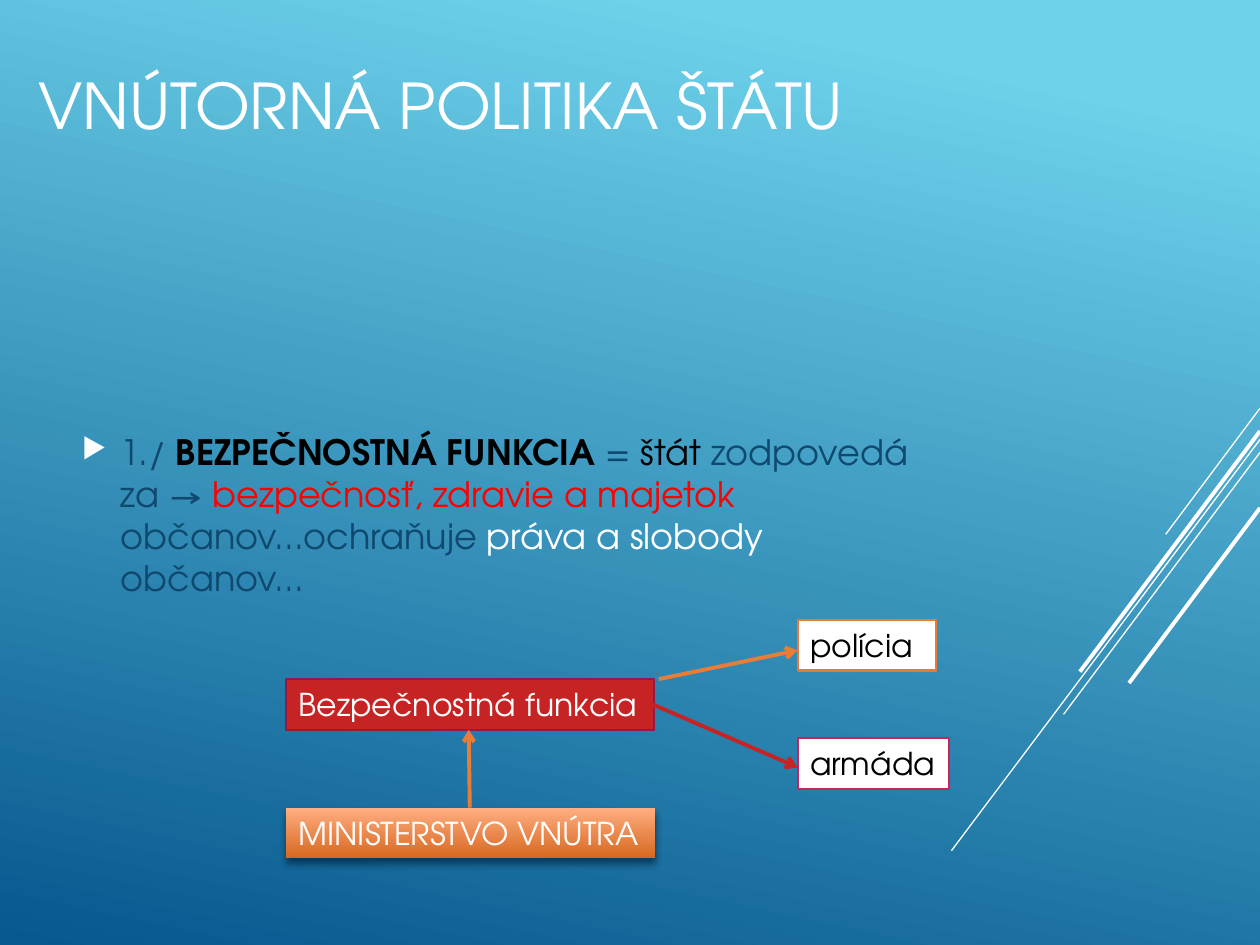
from dataclasses import dataclass

from lxml.etree import SubElement
from pptx import Presentation
from pptx.dml.color import RGBColor
from pptx.enum.shapes import MSO_CONNECTOR, MSO_SHAPE
from pptx.enum.text import MSO_ANCHOR, MSO_AUTO_SIZE, PP_ALIGN
from pptx.oxml.ns import qn
from pptx.util import Cm, Pt

FONT = "TeX Gyre Adventor"
WHITE = "FFFFFF"
BLACK = "000000"
NAVY = "0F496F"
RED = "C62324"
ORANGE = "E87D37"


@dataclass
class Line:
    start: tuple[float, float]
    end: tuple[float, float]
    color: str = WHITE
    width: float = 0.75
    arrow: bool = False


@dataclass
class Box:
    text: str
    left: float
    top: float
    width: float
    fill: str | tuple[str, str]
    border: str | None
    text_color: str


@dataclass
class Span:
    text: str
    color: str = NAVY
    bold: bool = False


EDGE = 25.4
DECOR = [
    Line((EDGE, 8.23), (23.5, 10.77)),
    Line((EDGE, 8.86), (19.18, 17.15)),
    Line((EDGE, 9.12), (21.44, 14.4)),
    Line((EDGE, 8.69), (21.77, 13.54), width=2.25),
    Line((EDGE, 10.24), (22.76, 13.77), width=2.25),
]
BOX_HEIGHT = 1.02
BOXES = [
    Box("Bezpečnostná funkcia", 5.77, 13.69, 7.42, RED, "921A46", WHITE),
    Box("polícia", 16.08, 12.5, 2.79, WHITE, "E87937", BLACK),
    Box("armáda", 16.08, 14.88, 3.05, WHITE, "C6235F", BLACK),
    Box("MINISTERSTVO VNÚTRA", 5.77, 16.28, 7.44, ("FFAE82", "D7681F"), None, WHITE),
]
ARROWS = [
    Line((13.28, 13.69), (16.08, 13.11), ORANGE, 2.25, True),
    Line((13.16, 14.2), (16.08, 15.47), RED, 2.25, True),
    Line((9.47, 16.28), (9.45, 14.71), ORANGE, 2.25, True),
]
BODY = [
    Span("1./ "),
    Span("BEZPEČNOSTNÁ FUNKCIA ", BLACK, True),
    Span("= "),
    Span("štát ", BLACK),
    Span("zodpovedá za → "),
    Span("bezpečnosť, zdravie a majetok ", "FF0000"),
    Span("občanov...ochraňuje "),
    Span("práva a slobody ", WHITE),
    Span("občanov..."),
]


def rgb(value: str) -> RGBColor:
    return RGBColor.from_string(value)


def set_gradient(fill, stops: list[tuple[float, str]], clockwise_angle: float) -> None:
    fill.gradient()
    fill.gradient_angle = 360 - clockwise_angle
    for stop, (position, color) in zip(fill.gradient_stops, stops):
        stop.position = position
        stop.color.rgb = rgb(color)


def add_runs(paragraph, spans: list[Span], size: float) -> None:
    for span in spans:
        run = paragraph.add_run()
        run.text = span.text
        run.font.name = FONT
        run.font.size = Pt(size)
        run.font.bold = span.bold
        run.font.color.rgb = rgb(span.color)


def add_line(slide, line: Line) -> None:
    points = [Cm(value) for value in (*line.start, *line.end)]
    connector = slide.shapes.add_connector(MSO_CONNECTOR.STRAIGHT, *points)
    connector.line.color.rgb = rgb(line.color)
    connector.line.width = Pt(line.width)
    properties = connector._element.spPr
    if line.arrow:
        SubElement(properties.find(qn("a:ln")), qn("a:tailEnd"), type="arrow")
    SubElement(properties, qn("a:effectLst"))


def add_drop_shadow(shape) -> None:
    effects = shape._element.spPr.find(qn("a:effectLst"))
    shadow = SubElement(effects, qn("a:outerShdw"), blurRad=str(Pt(4)),
                        dist=str(Pt(3)), dir="5400000", rotWithShape="0")
    color = SubElement(shadow, qn("a:srgbClr"), val=BLACK)
    SubElement(color, qn("a:alpha"), val="46000")


def add_box(slide, box: Box) -> None:
    shape = slide.shapes.add_shape(MSO_SHAPE.RECTANGLE, Cm(box.left), Cm(box.top),
                                   Cm(box.width), Cm(BOX_HEIGHT))
    shape.shadow.inherit = False
    if isinstance(box.fill, tuple):
        set_gradient(shape.fill, list(zip((0, 1), box.fill)), 90)
        add_drop_shadow(shape)
    else:
        shape.fill.solid()
        shape.fill.fore_color.rgb = rgb(box.fill)
    if box.border:
        shape.line.color.rgb = rgb(box.border)
        shape.line.width = Pt(1.25)
    else:
        shape.line.fill.background()
    frame = shape.text_frame
    frame.word_wrap = False
    frame.auto_size = MSO_AUTO_SIZE.SHAPE_TO_FIT_TEXT
    frame.vertical_anchor = MSO_ANCHOR.TOP
    paragraph = frame.paragraphs[0]
    paragraph.alignment = PP_ALIGN.LEFT
    add_runs(paragraph, [Span(box.text, box.text_color)], 18)


def add_text(slide, left: float, top: float, width: float, height: float,
             spans: list[Span], size: float):
    frame = slide.shapes.add_textbox(Cm(left), Cm(top), Cm(width), Cm(height)).text_frame
    frame.word_wrap = True
    frame.vertical_anchor = MSO_ANCHOR.MIDDLE
    paragraph = frame.paragraphs[0]
    add_runs(paragraph, spans, size)
    return paragraph


def add_bullet(paragraph) -> None:
    properties = paragraph._p.get_or_add_pPr()
    properties.set("marL", str(Cm(0.79)))
    properties.set("indent", str(Cm(-0.79)))
    color = SubElement(properties, qn("a:buClr"))
    SubElement(color, qn("a:srgbClr"), val=WHITE)
    SubElement(properties, qn("a:buSzPct"), val="80000")
    SubElement(properties, qn("a:buChar"), char="▶")


def main() -> None:
    presentation = Presentation()
    presentation.slide_width = Cm(25.4)
    presentation.slide_height = Cm(19.05)
    slide = presentation.slides.add_slide(presentation.slide_layouts[6])
    set_gradient(slide.background.fill, [(0.1, "6ED2EB"), (1, "06588E")], 102)
    for line in DECOR:
        add_line(slide, line)
    title = add_text(slide, 0, 0, 17.78, 4.19, [Span("VNÚTORNÁ POLITIKA ŠTÁTU", WHITE)], 36)
    title.alignment = PP_ALIGN.CENTER
    body = add_text(slide, 1.4, 5.36, 17.78, 10.03, BODY, 20)
    add_bullet(body)
    body.space_after = Pt(6)
    for box in BOXES:
        add_box(slide, box)
    for arrow in ARROWS:
        add_line(slide, arrow)
    presentation.save("out.pptx")


if __name__ == "__main__":
    main()
